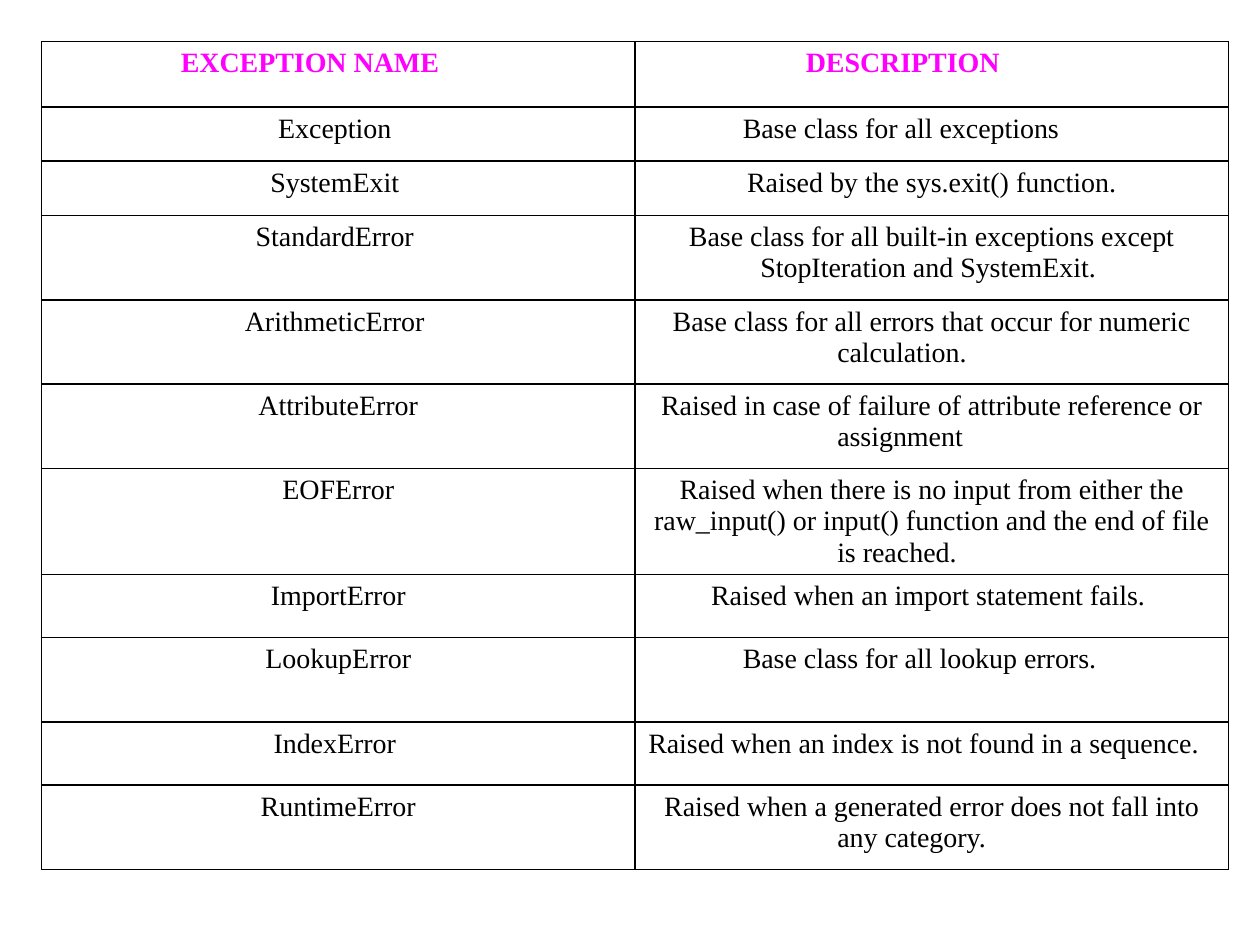
from lxml.etree import SubElement
from pptx import Presentation
from pptx.dml.color import RGBColor
from pptx.enum.text import PP_ALIGN
from pptx.oxml.ns import qn
from pptx.util import Inches, Pt

# Content: row height, exception name, description
# (closing tabs shift the centred lines to the left)
ROWS = [
    (0.52, "EXCEPTION NAME \t", "DESCRIPTION \t"),
    (0.43, "Exception ", "Base class for all exceptions \t"),
    (0.43, "SystemExit ", "Raised by the sys.exit() function."),
    (0.67, "StandardError ",
     "Base class for all built-in exceptions except StopIteration and SystemExit. "),
    (0.67, "ArithmeticError ",
     "Base class for all errors that occur for numeric calculation. \t"),
    (0.67, "AttributeError",
     "Raised in case of failure of attribute reference or assignment \t"),
    (0.78, "EOFError",
     "Raised when there is no input from either the raw_input() or input() "
     "function and the end of file is reached. \t"),
    (0.5, "ImportError", "Raised when an import statement fails. "),
    (0.67, "LookupError", "Base class for all lookup errors. \t"),
    (0.5, "IndexError ", "Raised when an index is not found in a sequence. \t"),
    (0.67, "RuntimeError",
     "Raised when a generated error does not fall into any category. \t"),
]
FONT, SIZE = "Times New Roman", 16
HEADER_COLOR, BODY_COLOR, BORDER_COLOR = "FF00FF", "000000", "000000"
MARGIN, COLUMN_WIDTH = 0.33, 4.71


def color(hex_value):
    return RGBColor.from_string(hex_value)


def add_borders(cell):
    properties = cell._tc.get_or_add_tcPr()
    for side in ("a:lnL", "a:lnR", "a:lnT", "a:lnB"):
        line = SubElement(properties, qn(side), w=str(Pt(1)))
        fill = SubElement(line, qn("a:solidFill"))
        SubElement(fill, qn("a:srgbClr"), val=BORDER_COLOR)


def fill_cell(cell, text, is_header):
    add_borders(cell)
    cell.fill.background()
    paragraph = cell.text_frame.paragraphs[0]
    paragraph.alignment = PP_ALIGN.CENTER
    run = paragraph.add_run()
    run.text = text
    run.font.name = FONT
    run.font.size = Pt(SIZE)
    run.font.bold = is_header
    run.font.color.rgb = color(HEADER_COLOR if is_header else BODY_COLOR)


def main():
    presentation = Presentation()
    presentation.slide_width, presentation.slide_height = Inches(10), Inches(7.5)
    slide = presentation.slides.add_slide(presentation.slide_layouts[6])

    # Exception table
    total_height = sum(height for height, *_ in ROWS)
    table = slide.shapes.add_table(
        len(ROWS), 2, Inches(MARGIN), Inches(MARGIN),
        Inches(2 * COLUMN_WIDTH), Inches(total_height)).table
    table.horz_banding = False
    for column in table.columns:
        column.width = Inches(COLUMN_WIDTH)
    for row_index, (height, *texts) in enumerate(ROWS):
        table.rows[row_index].height = Inches(height)
        for column_index, text in enumerate(texts):
            fill_cell(table.cell(row_index, column_index), text, row_index == 0)

    presentation.save("out.pptx")


if __name__ == "__main__":
    main()
